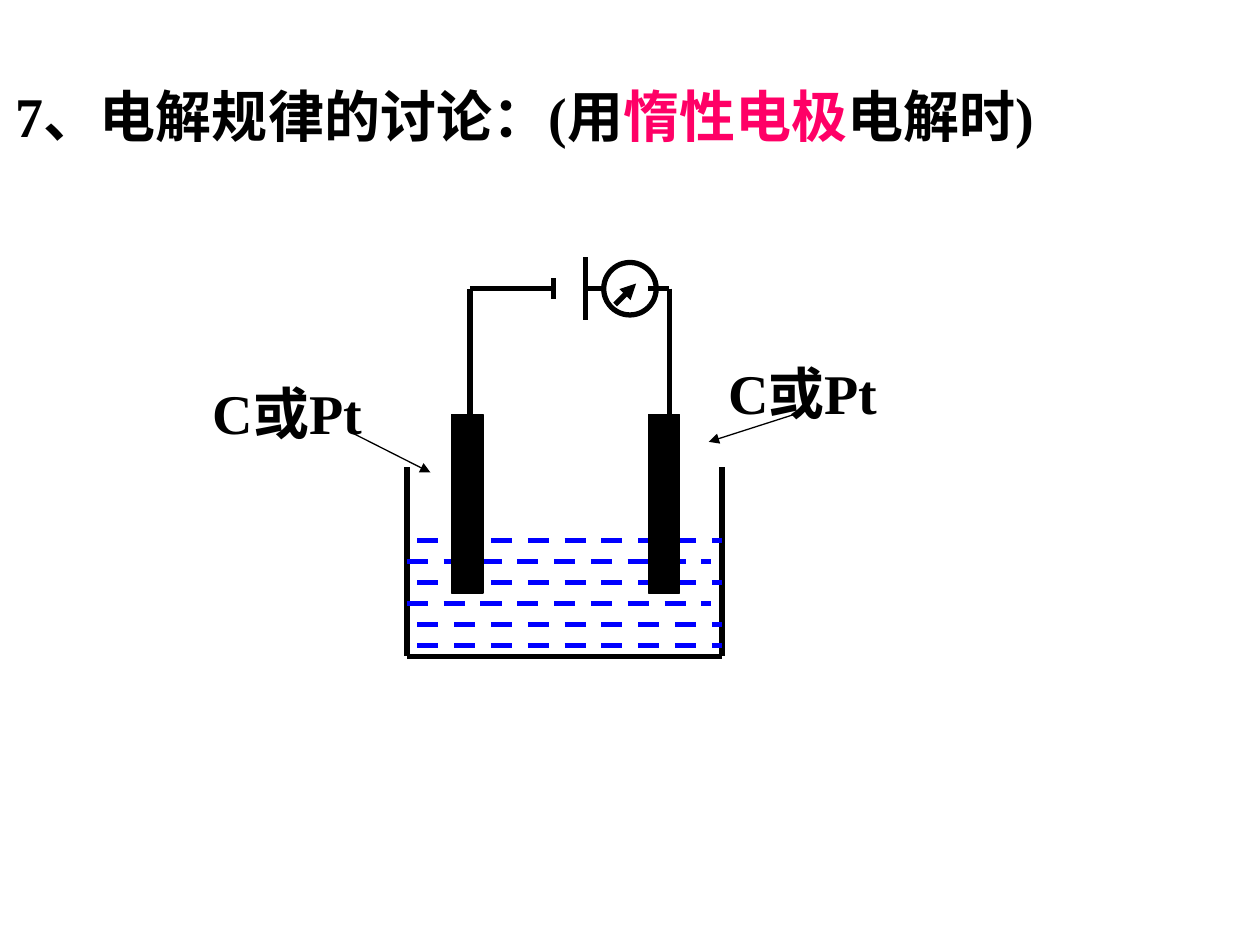
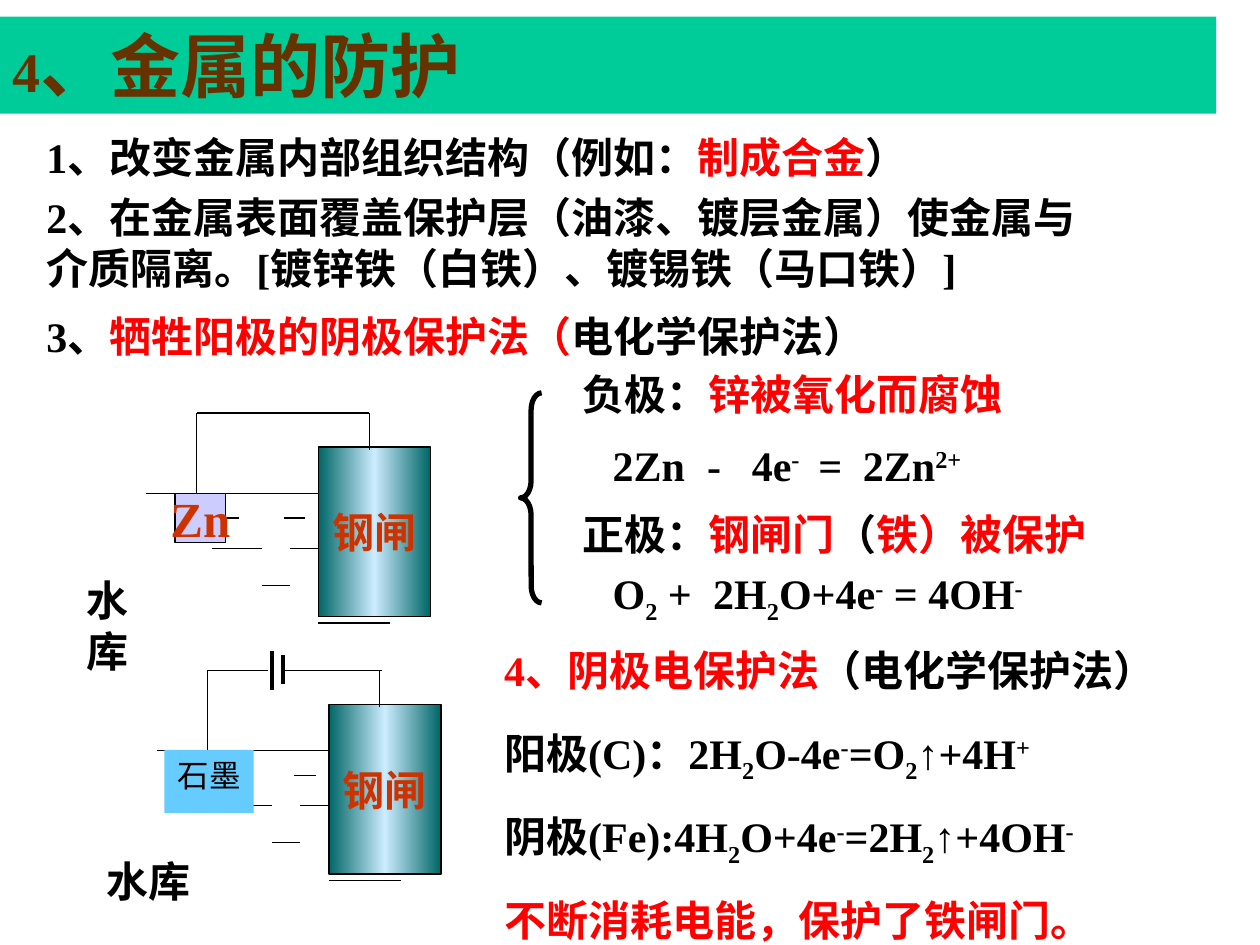
from copy import deepcopy

from pptx import Presentation
from pptx.dml.color import RGBColor
from pptx.enum.dml import MSO_LINE
from pptx.enum.shapes import MSO_CONNECTOR, MSO_SHAPE
from pptx.enum.text import MSO_ANCHOR, MSO_AUTO_SIZE, PP_ALIGN
from pptx.oxml.ns import qn
from pptx.util import Pt

FONT = "Times New Roman"
BLACK, RED, PINK, BLUE = "000000", "FF0000", "FF0066", "0000FF"
RUST, BROWN, GREEN, TEAL = "CC3300", "663300", "00CC99", "006666"
SHIFT = {"_": "-25000", "^": "30000"}


def paint(code):
    return RGBColor.from_string(code)


# Shared text helpers. Pieces are split by "|":
# "*" marks the accent colour, "_" a subscript, "^" a superscript.
def fill_para(para, text, size, color, accent, bold, tabs):
    if tabs:
        stops = para._p.get_or_add_pPr().makeelement(qn("a:tabLst"), {})
        for stop in tabs:
            mark = stops.makeelement(qn("a:tab"), {"pos": str(Pt(stop)), "algn": "l"})
            stops.append(mark)
        para._p.get_or_add_pPr().append(stops)
    para.font.size = Pt(size)
    para.font.bold = bold
    arrow = "↑" in text
    if not arrow:
        para.font.name = FONT
    for piece in text.split("|"):
        kind = piece[0] if piece[0] in "*_^" else ""
        run = para.add_run()
        run.text = piece[len(kind):]
        run.font.color.rgb = paint(accent if kind == "*" else color)
        if arrow:
            run.font.name = "Arial" if piece == "↑" else FONT
        if kind in SHIFT:
            run._r.get_or_add_rPr().set("baseline", SHIFT[kind])


def write(shape, lines, size, color=BLACK, accent=RED, bold=True, wrap=True,
          center=False, middle=False, tabs=()):
    frame = shape.text_frame
    frame.word_wrap = wrap
    frame.vertical_anchor = MSO_ANCHOR.MIDDLE if middle else MSO_ANCHOR.TOP
    for i, line in enumerate(lines):
        para = frame.add_paragraph() if i else frame.paragraphs[0]
        para.alignment = PP_ALIGN.CENTER if center else PP_ALIGN.LEFT
        if i:
            para.space_before = Pt(15)
        fill_para(para, line, size, color, accent, bold, tabs)
    return frame


def label(slide, box, *lines, size=24, **style):
    shape = slide.shapes.add_textbox(*map(Pt, box))
    frame = write(shape, lines, size, **style)
    frame.auto_size = MSO_AUTO_SIZE.SHAPE_TO_FIT_TEXT


# Shared drawing helpers
def block(slide, kind, box, fill=None, edge=None, width=0.75):
    shape = slide.shapes.add_shape(kind, *map(Pt, box))
    shape.shadow.inherit = False
    if fill:
        shape.fill.solid()
        shape.fill.fore_color.rgb = paint(fill)
    else:
        shape.fill.background()
    if edge:
        shape.line.color.rgb = paint(edge)
        shape.line.width = Pt(width)
    else:
        shape.line.fill.background()
    return shape


def pen(slide, left, top):
    """Return a line tool that works from the given corner."""
    def draw(x1, y1, x2, y2, width=0.75, color=BLACK, dash=False, head=False):
        ends = (left + x1, top + y1, left + x2, top + y2)
        line = slide.shapes.add_connector(MSO_CONNECTOR.STRAIGHT, *map(Pt, ends))
        line.line.color.rgb = paint(color)
        line.line.width = Pt(width)
        if dash:
            line.line.dash_style = MSO_LINE.DASH
        props = line._element.spPr
        if head:
            edge = line.line._get_or_add_ln()
            edge.append(edge.makeelement(qn("a:tailEnd"), {"type": "triangle"}))
        props.append(props.makeelement(qn("a:effectLst"), {}))
    return draw


# Slide 1: electrolysis cell
def vessel(slide, left, top):
    draw = pen(slide, left, top)
    wide, deep = 180, 108
    for x in (0, wide):
        draw(x, 0, x, deep, 3)
    draw(0, deep, wide, deep, 3)
    for row in range(6):
        start = 0 if row in (1, 3) else 6
        y = 42 + 12 * row
        draw(start, y, start + 174, y, 3, BLUE, dash=True)
    for x in (25.5, 138):
        block(slide, MSO_SHAPE.RECTANGLE, (left + x, top - 30, 18, 102), BLACK, BLACK)


def circuit(slide, left, top):
    draw = pen(slide, left, top)
    for x in (0, 114):
        draw(x, 18, x, 90, 3)
    for x1, x2 in ((0, 48), (66, 78), (102, 114)):
        draw(x1, 18, x2, 18, 3)
    # Battery plates
    draw(48, 12, 48, 24, 3)
    draw(66, 0, 66, 36, 3)
    # Meter
    block(slide, MSO_SHAPE.OVAL, (left + 76.5, top + 3, 30, 30), edge=BLACK, width=3)
    draw(83, 27, 95, 15, 3, head=True)


def cell(slide, left, top):
    vessel(slide, left, top + 120)
    circuit(slide, left + 36, top)
    draw = pen(slide, left, top)
    for x, y in ((-118, 66), (176.5, 54.5)):
        label(slide, (left + x, top + y, 115, 46), "C或Pt", size=32, wrap=False)
    draw(-31, 100.5, 13.5, 123, head=True)
    draw(224, 89, 172.5, 105.5, head=True)


def rules(slide):
    label(slide, (2, 43, 627, 46), "7、电解规律的讨论：(用|*惰性电极|电解时)",
          size=32, accent=PINK, wrap=False)
    cell(slide, 232.5, 147)


# Slide 2: metal protection
def banner(slide, box):
    bar = block(slide, MSO_SHAPE.RECTANGLE, box, GREEN)
    frame = write(bar, ["4|、金属的防护"], 40, BROWN)
    frame.paragraphs[0].runs[0].font.size = Pt(32)


def gate(slide, box):
    shape = block(slide, MSO_SHAPE.RECTANGLE, box, edge=BLACK)
    shape.fill.gradient()
    shape.fill.gradient_angle = 0
    stops = shape._element.spPr.find(".//" + qn("a:gsLst"))
    stops.insert(1, deepcopy(stops[0]))
    shades = ((0, TEAL), (0.5, "CCECFF"), (1, TEAL))
    for stop, (place, color) in zip(shape.fill.gradient_stops, shades):
        stop.position = place
        stop.color.rgb = paint(color)
    write(shape, ["钢闸"], 24, RUST, wrap=False, center=True, middle=True)


def tank(slide, left, top):
    """Water, steel gate and the two upright wires."""
    draw = pen(slide, left, top)
    ripples = ((0, 148.5, 46), (78.5, 91, 60), (37.5, 66, 77.5),
               (82, 98.5, 77.5), (66, 82, 98.5), (98.5, 139.5, 120))
    for x1, x2, y in ripples:
        draw(x1, y, x2, y)
    gate(slide, (left + 98.5, top + 19.5, 64, 97))
    draw(29, 46, 29, 0)
    draw(127.5, 0, 127.5, 21)
    return draw


def zinc(slide, left, top):
    draw = tank(slide, left, top)
    draw(21, 60, 53, 60)
    draw(29, 0, 127.5, 0)
    plate = block(slide, MSO_SHAPE.RECTANGLE, (left + 16.5, top + 46, 29, 28),
                  "CCCCFF", BLACK)
    write(plate, ["Zn"], 28, RUST, wrap=False, center=True, middle=True)
    label(slide, (left - 41, top + 89, 45, 65), "水库")


def carbon(slide, left, top):
    draw = tank(slide, left, top)
    rod = block(slide, MSO_SHAPE.RECTANGLE, (left + 4.5, top + 45.5, 51, 36), "66CCFF")
    write(rod, ["石墨"], 18, bold=False, center=True)
    # Battery in the wire
    draw(29, 0, 63.5, 0)
    draw(66, -11, 66, 11.5, 2.25)
    draw(72, -8.5, 72, 8, 2.25)
    draw(72, 0, 129, 0)
    label(slide, (left - 35.5, top + 102.5, 73.5, 36), "水库")


def methods(slide, left, top):
    label(slide, (left, top, 623, 36), "1、改变金属内部组织结构（例如：|*制成合金|）")
    label(slide, (left, top + 34.5, 606, 65),
          "2、在金属表面覆盖保护层（油漆、镀层金属）使金属与介质隔离。"
          "[镀锌铁（白铁）、镀锡铁（马口铁）]")
    label(slide, (left, top + 102.5, 510, 36), "3、|*牺牲阳极的阴极保护法（|电化学保护法）")


def poles(slide, left, top):
    brace = block(slide, MSO_SHAPE.LEFT_BRACE, (left, top + 17.5, 12, 120),
                  edge=BLACK, width=3)
    brace.adjustments[0] = 0.82
    head, body = left + 28.5, left + 45.5
    label(slide, (head, top, 290, 36), "负极：|*锌被氧化而腐蚀")
    label(slide, (body, top + 40.5, 240, 36), "2Zn\t-\t4e|^-|\t=\t2Zn|^2+",
          tabs=(54, 79.5, 117.5, 143))
    label(slide, (head, top + 80, 342, 36), "正极：|*钢闸门|（|*铁）被保护")
    label(slide, (body, top + 114, 252, 40), "O|_2| +\t2H|_2|O+4e|^-| = 4OH|^-",
          tabs=(57.5,))


def power(slide, left, top):
    label(slide, (left, top, 425, 36), "*4、阴极电保护法|（电化学保护法）")
    label(slide, (left, top + 47.5, 414, 132),
          "阳极(C)：2H|_2|O-4e|^-|=O|_2|↑|+4H|^+",
          "阴极(Fe):4H|_2|O+4e|^-|=2H|_2|↑|+4OH|^-",
          "*不断消耗电能，保护了铁闸门。")


def guard(slide):
    methods(slide, 19.5, 71.5)
    zinc(slide, 83.5, 236)
    poles(slide, 297.5, 207)
    banner(slide, (0, 9.5, 695, 55.5))
    carbon(slide, 89.5, 383)
    power(slide, 281, 364.5)


def main():
    deck = Presentation()
    deck.slide_width, deck.slide_height = Pt(720), Pt(540)
    for build in (rules, guard):
        build(deck.slides.add_slide(deck.slide_layouts[6]))
    deck.save("out.pptx")


if __name__ == "__main__":
    main()
